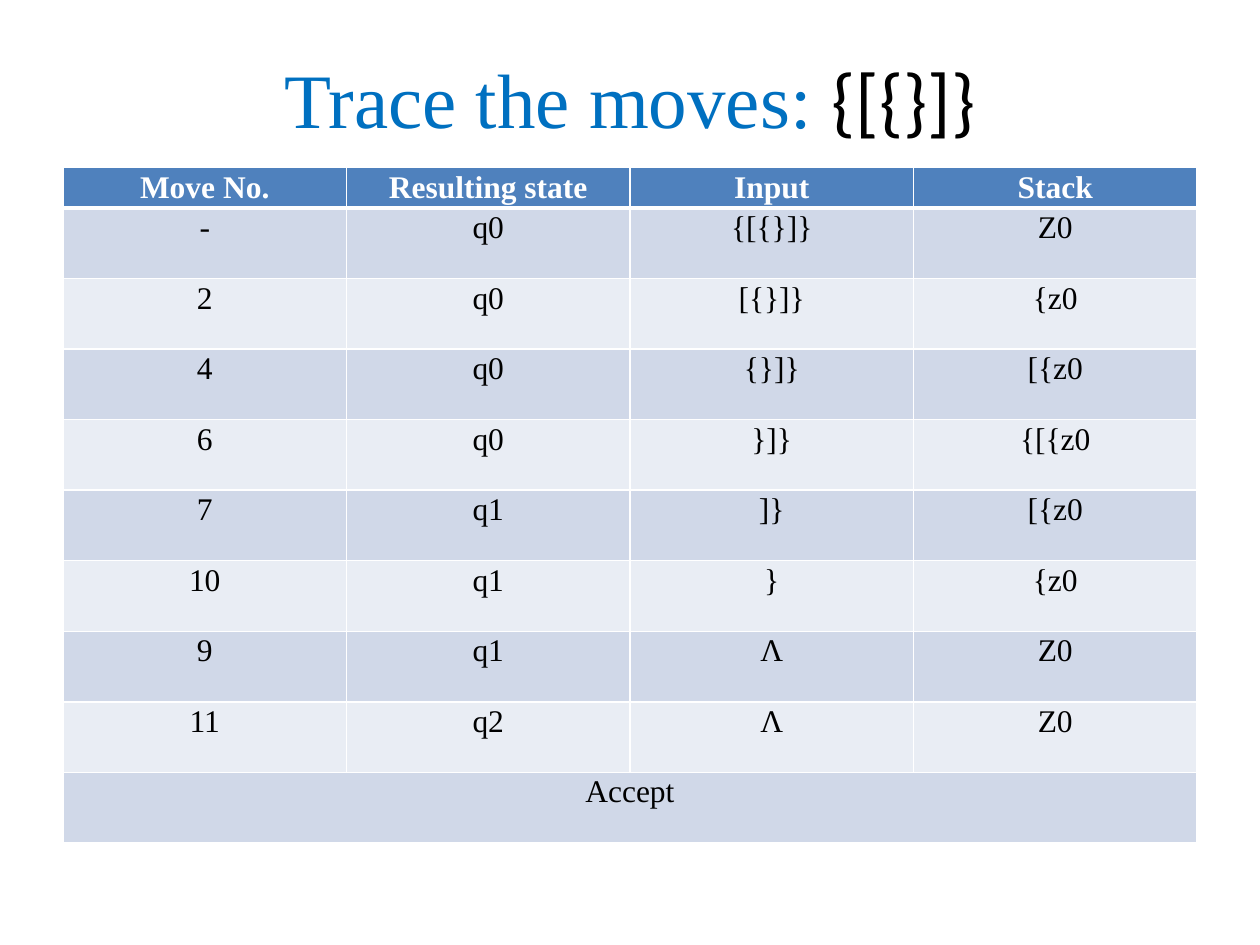
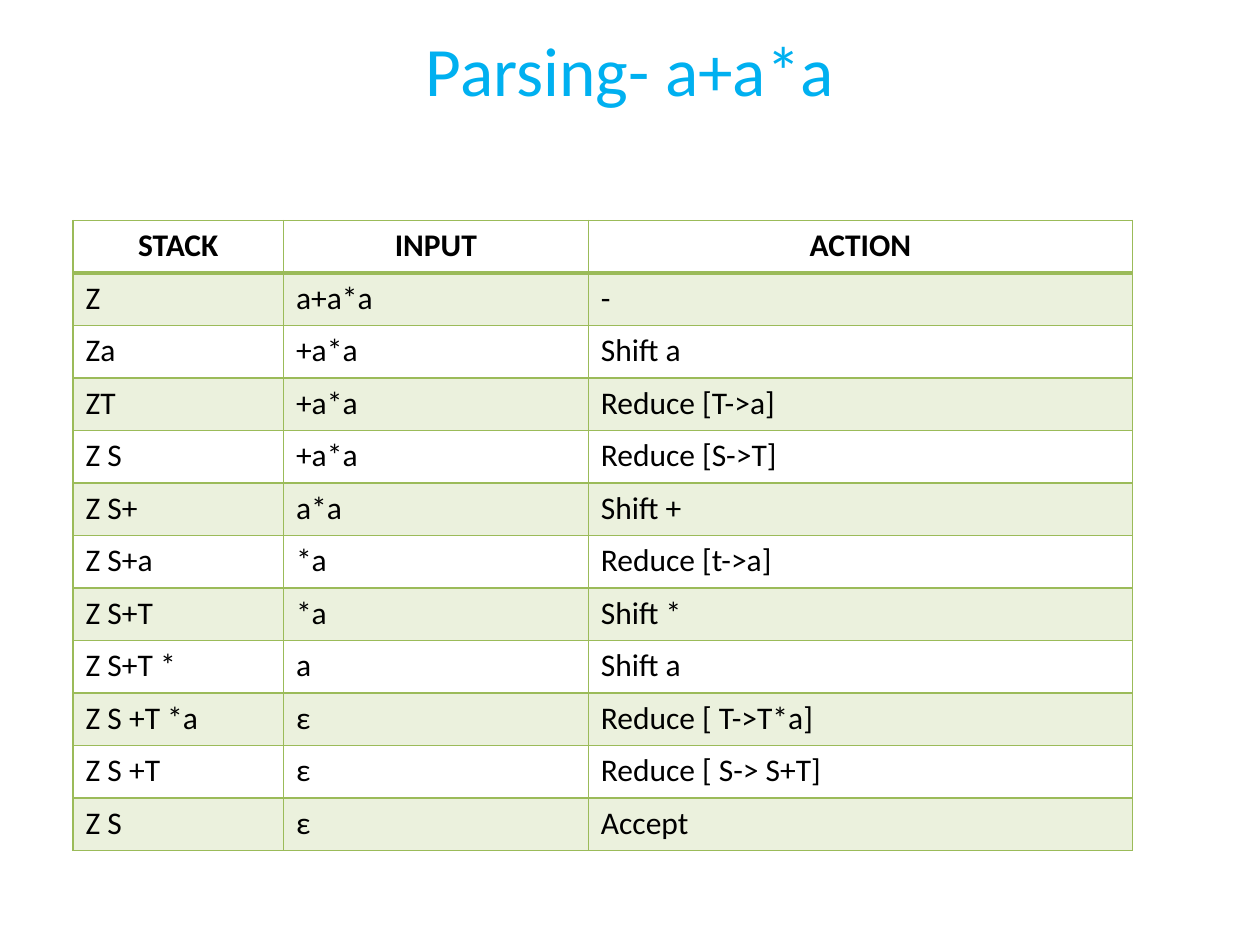
from dataclasses import dataclass

from lxml.etree import SubElement
from pptx import Presentation
from pptx.dml.color import RGBColor
from pptx.enum.text import MSO_ANCHOR, PP_ALIGN
from pptx.oxml.ns import qn
from pptx.util import Inches, Pt


@dataclass(frozen=True)
class Theme:
    serif: str = "Times New Roman"
    sans: str = "Calibri"
    black: str = "000000"
    white: str = "FFFFFF"
    title_blue: str = "0070C0"
    title_sky: str = "00B0F0"
    header_blue: str = "4F81BD"
    band_dark: str = "D0D8E8"
    band_light: str = "E9EDF4"
    green: str = "9BBB59"
    trace_title: float = 44
    parsing_title: float = 39.6
    body: float = 18


@dataclass(frozen=True)
class TableStyle:
    font: str
    header_color: str
    border: str
    header_rule: float
    header_fill: tuple
    bands: tuple
    body_align: PP_ALIGN
    margins: tuple = (0.1, 0.05)
    line_spacing: float = 1.0


THEME = Theme()

TRACE_STYLE = TableStyle(
    font=THEME.serif, header_color=THEME.white, border=THEME.white, header_rule=3,
    header_fill=(THEME.header_blue, 100),
    bands=((THEME.band_dark, 100), (THEME.band_light, 100)),
    body_align=PP_ALIGN.CENTER, margins=(0.07, 0), line_spacing=1.07)

PARSING_STYLE = TableStyle(
    font=THEME.sans, header_color=THEME.black, border=THEME.green, header_rule=2,
    header_fill=None, bands=((THEME.green, 20), None), body_align=PP_ALIGN.LEFT)

TRACE_ROWS = [
    ("Move No.", "Resulting state", "Input", "Stack"),
    ("-", "q0", "{[{}]}", "Z0"),
    ("2", "q0", "[{}]}", "{z0"),
    ("4", "q0", "{}]}", "[{z0"),
    ("6", "q0", "}]}", "{[{z0"),
    ("7", "q1", "]}", "[{z0"),
    ("10", "q1", "}", "{z0"),
    ("9", "q1", "Ʌ", "Z0"),
    ("11", "q2", "Ʌ", "Z0"),
    ("Accept",),
]

PARSING_ROWS = [
    ("STACK", "INPUT", "ACTION"),
    ("Z", "a+a*a", "-"),
    ("Za", "+a*a", "Shift a"),
    ("ZT", "+a*a", "Reduce [T->a]"),
    ("Z S", "+a*a", "Reduce [S->T]"),
    ("Z S+", "a*a", "Shift +"),
    ("Z S+a", "*a", "Reduce [t->a]"),
    ("Z S+T", "*a", "Shift *"),
    ("Z S+T *", "a", "Shift a"),
    ("Z S +T *a", "ε", "Reduce [ T->T*a]"),
    ("Z S +T", "ε", "Reduce [ S-> S+T]"),
    ("Z S", "ε", "Accept"),
]


def write(paragraph, text, *, font, size, color, bold=False, align=PP_ALIGN.CENTER):
    paragraph.alignment = align
    run = paragraph.add_run()
    run.text = text
    run.font.name = font
    run.font.size = Pt(size)
    run.font.bold = bold
    run.font.color.rgb = RGBColor.from_string(color)


def add_title(slide, height, size, *parts):
    title = slide.shapes.add_textbox(Inches(0.5), Inches(0.3), Inches(9), Inches(height))
    frame = title.text_frame
    frame.word_wrap = True
    frame.vertical_anchor = MSO_ANCHOR.MIDDLE
    for text, font, color in parts:
        write(frame.paragraphs[0], text, font=font, size=size, color=color)


def set_borders(cell, color, top, bottom):
    properties = cell._tc.get_or_add_tcPr()
    for side, width in (("L", 1), ("R", 1), ("T", top), ("B", bottom)):
        line = SubElement(properties, qn(f"a:ln{side}"), w=str(Pt(width)))
        SubElement(SubElement(line, qn("a:solidFill")), qn("a:srgbClr"), val=color)


def set_fill(cell, band):
    if band is None:
        cell.fill.background()
        return
    color, opacity = band
    cell.fill.solid()
    cell.fill.fore_color.rgb = RGBColor.from_string(color)
    if opacity < 100:
        tint = cell._tc.tcPr.find(f"{qn('a:solidFill')}/{qn('a:srgbClr')}")
        SubElement(tint, qn("a:alpha"), val=str(opacity * 1000))


def format_cell(cell, row, style):
    side, edge = style.margins
    cell.margin_left = cell.margin_right = Inches(side)
    cell.margin_top = cell.margin_bottom = Inches(edge)
    set_borders(cell, style.border,
                top=style.header_rule if row == 1 else 1,
                bottom=style.header_rule if row == 0 else 1)
    set_fill(cell, style.bands[(row - 1) % 2] if row else style.header_fill)


def add_grid(slide, rows, left, top, widths, header_height, row_height, style):
    heights = [header_height] + [row_height] * (len(rows) - 1)
    table = slide.shapes.add_table(
        len(rows), len(widths), Inches(left), Inches(top),
        Inches(sum(widths)), Inches(sum(heights))).table
    table.horz_banding = False
    for column, width in zip(table.columns, widths):
        column.width = Inches(width)
    for index, (values, height) in enumerate(zip(rows, heights)):
        table.rows[index].height = Inches(height)
        for column in range(len(widths)):
            format_cell(table.cell(index, column), index, style)
        if len(values) == 1:
            table.cell(index, 0).merge(table.cell(index, len(widths) - 1))
        header = index == 0
        for column, value in enumerate(values):
            paragraph = table.cell(index, column).text_frame.paragraphs[0]
            paragraph.line_spacing = style.line_spacing
            write(paragraph, value, font=style.font, size=THEME.body, bold=header,
                  color=style.header_color if header else THEME.black,
                  align=PP_ALIGN.CENTER if header else style.body_align)


def main():
    deck = Presentation()
    deck.slide_width, deck.slide_height = Inches(10), Inches(7.5)
    blank = deck.slide_layouts[6]

    trace = deck.slides.add_slide(blank)
    add_title(trace, 0.95, THEME.trace_title,
              ("Trace the moves: ", THEME.serif, THEME.title_blue),
              ("{[{}]}", THEME.sans, THEME.black))
    add_grid(trace, TRACE_ROWS, 0.5, 1.33, [2.25] * 4, 0.23, 0.56, TRACE_STYLE)

    parsing = deck.slides.add_slide(blank)
    add_title(parsing, 0.5, THEME.parsing_title,
              ("Parsing- a+a*a", THEME.sans, THEME.title_sky))
    add_grid(parsing, PARSING_ROWS, 0.58, 1.75, [1.67, 2.42, 4.32],
             5 / 12, 5 / 12, PARSING_STYLE)

    deck.save("out.pptx")


if __name__ == "__main__":
    main()
